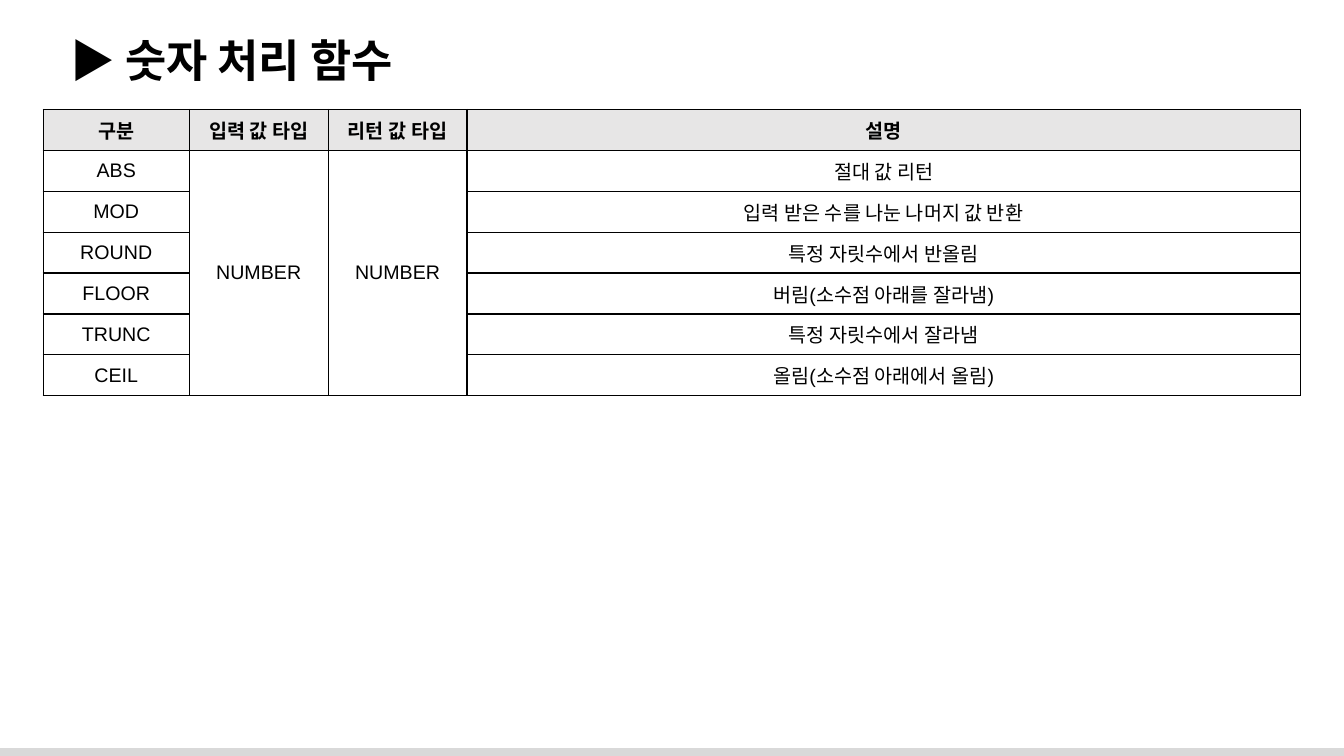
from pptx import Presentation
from pptx.dml.color import RGBColor
from pptx.enum import shapes, text
from pptx.oxml import parse_xml
from pptx.oxml import ns
from pptx.util import Cm, Pt

BLACK = RGBColor(0x00, 0x00, 0x00)
HEADER_GRAY = RGBColor(0xE7, 0xE6, 0xE6)
FOOTER_GRAY = RGBColor(0xD9, 0xD9, 0xD9)
LATIN_FONT = "Arial"
KOREAN_FONT = "Noto Sans CJK KR"

HEADINGS = ["구분", "입력 값 타입", "리턴 값 타입", "설명"]
FUNCTIONS = [
    ("ABS", "절대 값 리턴"),
    ("MOD", "입력 받은 수를 나눈 나머지 값 반환"),
    ("ROUND", "특정 자릿수에서 반올림"),
    ("FLOOR", "버림(소수점 아래를 잘라냄)"),
    ("TRUNC", "특정 자릿수에서 잘라냄"),
    ("CEIL", "올림(소수점 아래에서 올림)"),
]
VALUE_TYPE = "NUMBER"
TYPE_COLUMNS = (1, 2)
COLUMN_WIDTHS = [Cm(3.68), Cm(3.5), Cm(3.5), Cm(21)]
ROW_HEIGHT = Cm(1.03)


def write(paragraph, words, **font_format):
    run = paragraph.add_run()
    run.text = words
    for attribute, value in font_format.items():
        setattr(run.font, attribute, value)
    run.font.color.rgb = BLACK
    run._r.get_or_add_rPr().append(
        parse_xml(f'<a:ea {ns.nsdecls("a")} typeface="{KOREAN_FONT}"/>'))


def add_borders(cell):
    properties = cell._tc.get_or_add_tcPr()
    for side in ("lnL", "lnR", "lnT", "lnB"):
        properties.append(parse_xml(
            f'<a:{side} {ns.nsdecls("a")} w="{Pt(1)}"><a:solidFill>'
            f'<a:srgbClr val="{BLACK}"/></a:solidFill></a:{side}>'))


def add_footer_bar(slide, left, top, width, height):
    bar = slide.shapes.add_shape(
        shapes.MSO_SHAPE.RECTANGLE, left, top, width, height)
    bar.shadow.inherit = False
    bar.fill.solid()
    bar.fill.fore_color.rgb = FOOTER_GRAY
    bar.line.fill.background()


def add_title(slide, left, top, width, height):
    frame = slide.shapes.add_textbox(left, top, width, height).text_frame
    frame.word_wrap = True
    write(frame.paragraphs[0], "▶ 숫자 처리 함수",
          name=KOREAN_FONT, size=Pt(32), bold=True)


def add_function_table(slide, left, top):
    rows = [HEADINGS]
    for index, (function, description) in enumerate(FUNCTIONS):
        value_type = "" if index else VALUE_TYPE
        rows.append([function, value_type, value_type, description])

    table = slide.shapes.add_table(
        len(rows), len(HEADINGS), left, top,
        sum(COLUMN_WIDTHS), ROW_HEIGHT * len(rows)).table
    table.horz_banding = False
    for column, width in zip(table.columns, COLUMN_WIDTHS):
        column.width = width
    for column in TYPE_COLUMNS:
        table.cell(1, column).merge(table.cell(len(FUNCTIONS), column))

    for row, entries in enumerate(rows):
        is_header = row == 0
        for column, entry in enumerate(entries):
            cell = table.cell(row, column)
            add_borders(cell)
            if is_header:
                cell.fill.solid()
                cell.fill.fore_color.rgb = HEADER_GRAY
            else:
                cell.fill.background()
            cell.vertical_anchor = text.MSO_ANCHOR.MIDDLE
            if entry:
                paragraph = cell.text_frame.paragraphs[0]
                paragraph.alignment = text.PP_ALIGN.CENTER
                write(paragraph, entry,
                      name=LATIN_FONT, size=Pt(14), bold=is_header)


def main():
    presentation = Presentation()
    presentation.slide_width = Cm(33.87)
    presentation.slide_height = Cm(19.05)
    slide = presentation.slides.add_slide(presentation.slide_layouts[6])
    add_footer_bar(slide, Cm(-0.08), Cm(18.85), Cm(34), Cm(0.28))
    add_title(slide, Cm(1.52), Cm(0.71), Cm(32), Cm(1.63))
    add_function_table(slide, Cm(1.09), Cm(2.76))
    presentation.save("out.pptx")


if __name__ == "__main__":
    main()
